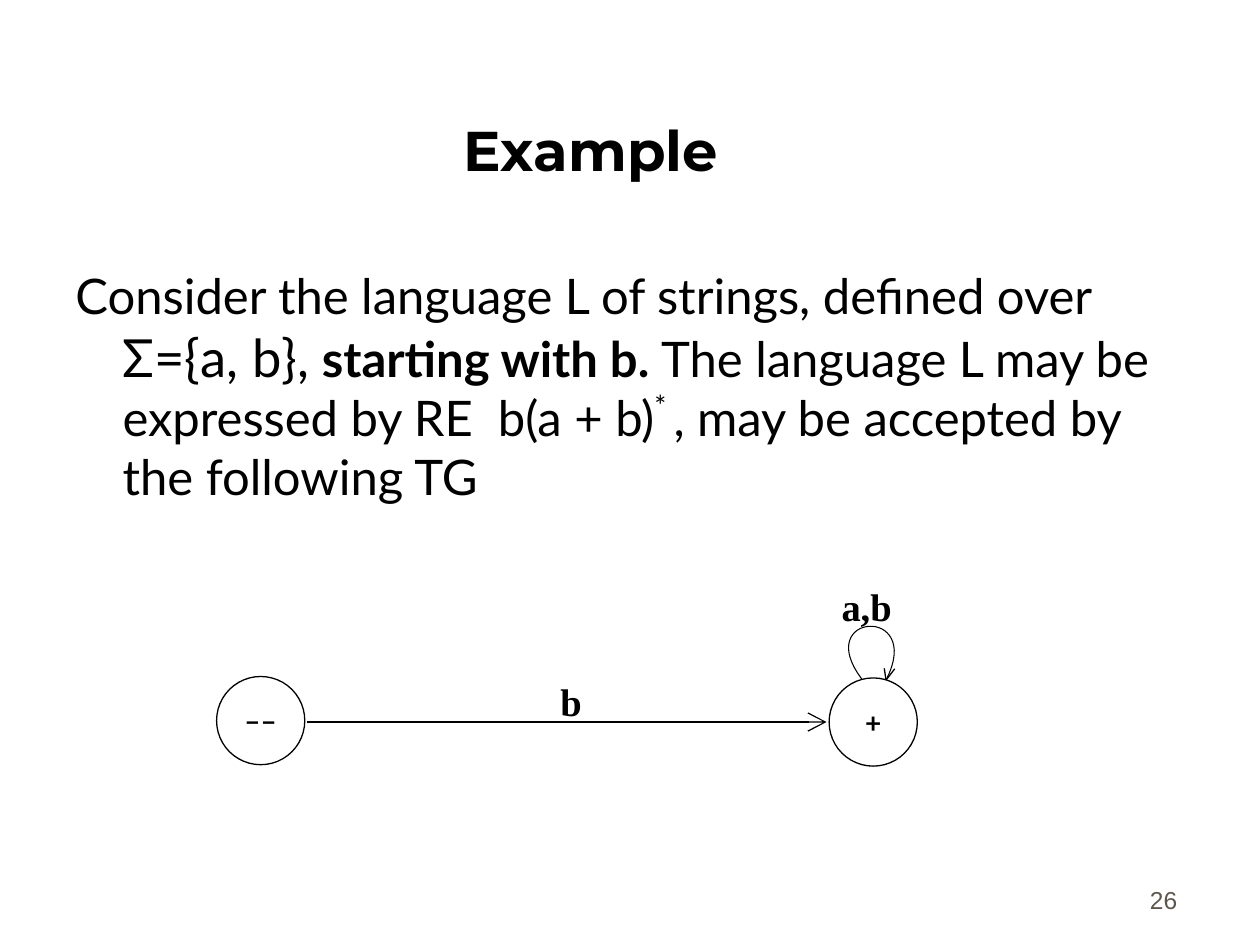
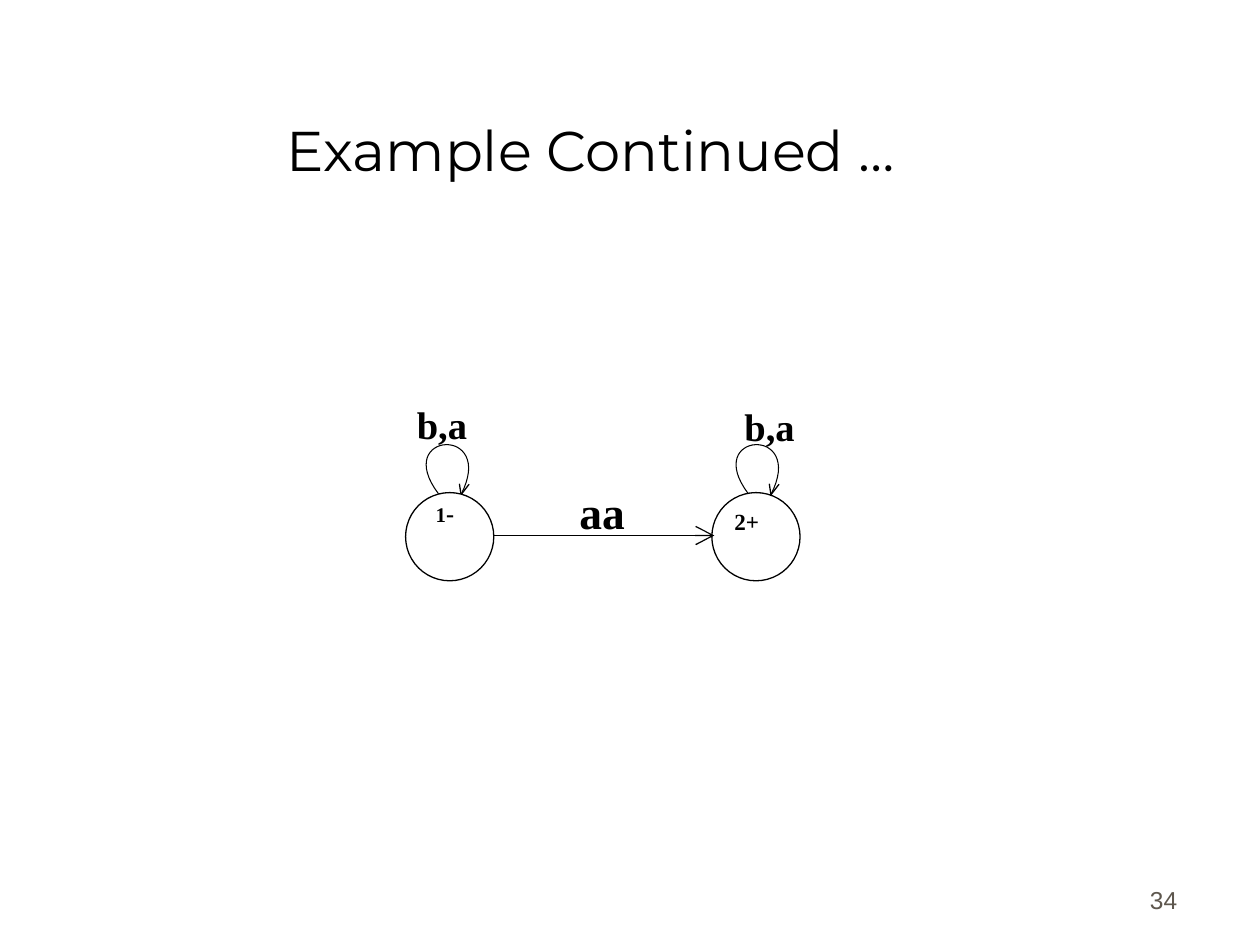
from lxml.etree import SubElement
from pptx import Presentation
from pptx.dml.color import RGBColor
from pptx.enum.shapes import MSO_CONNECTOR as Connector, MSO_SHAPE as Preset
from pptx.enum.text import MSO_ANCHOR as Anchor, MSO_AUTO_SIZE as AutoSize, PP_ALIGN as Align
from pptx.oxml.ns import qn
from pptx.util import Pt

COLORS = {"ink": "000000", "paper": "FFFFFF", "number": "5E574E"}
TITLE_FONT, BODY_FONT, LABEL_FONT, NUMBER_FONT = "Montserrat", "Lato", "Times New Roman", "Arial"
STATE_SIZE = 50.4
CURVE_STEPS = 32

slides = [
    {
        "title": "Example", "bold": True, "number": "26",
        "body": [
            ("Consider the language L of strings, defined over ", 28, False, 0),
            ("Σ={a, b},", 30, False, 0),
            (" ", 28, False, 0),
            ("starting with b. ", 28, True, 0),
            ("The language L may be expressed by RE  b(a + b)", 28, False, 0),
            ("* ", 28, False, 40000),
            (", may be accepted by the following TG", 28, False, 0),
        ],
        "loops": [(492.5, 388.1, 1)],
        "states": [(123.8, 386.6, "––"), (473.8, 387.4, "+")],
        "arrow": (175.7, 472.3, 412.6),
        "labels": [
            ((313.2, 383.8, 98.6, 36.7), [("b", 22)], 1),
            ((473.8, 329.8, 98.6, 36.7), [("a,b", 22)], 1),
        ],
    },
    {
        "title": "Example Continued …", "bold": False, "number": "34",
        "body": [],
        "loops": [(250.6, 282.2, 0.93), (427.7, 282.2, 0.93)],
        "states": [(231.8, 281.5, ""), (406.8, 281.5, "")],
        "arrow": (282.2, 408.2, 306),
        "labels": [
            ((231.1, 225.4, 70.6, 48.2), [("b,a", 22)], 1),
            ((418.3, 226.8, 70.6, 48.2), [("b,a", 22)], 1),
            ((324, 272.9, 70.6, 48.2), [("aa", 26)], 1),
            ((241.9, 284.4, 62.6, 25.9), [("1", 11.9), ("-", 13.8)], 0.8),
            ((412.6, 289.4, 55.4, 24.5), [("2+", 13.2)], 0.8),
        ],
    },
]


def add_run(paragraph, text, font, size, bold=False, color="ink"):
    run = paragraph.add_run()
    run.text = text
    run.font.name = font
    run.font.size = Pt(size)
    run.font.bold = bold
    run.font.color.rgb = RGBColor.from_string(COLORS[color])
    return run


def add_box(slide, box):
    frame = slide.shapes.add_textbox(*map(Pt, box)).text_frame
    frame.word_wrap = True
    return frame


presentation = Presentation()
presentation.slide_width, presentation.slide_height = Pt(720), Pt(540)

for content in slides:
    slide = presentation.slides.add_slide(presentation.slide_layouts[5])

    title = slide.shapes.title
    title.left, title.top, title.width, title.height = map(Pt, (31.7, 18, 612, 90))
    frame = title.text_frame
    frame.auto_size = AutoSize.NONE
    frame.vertical_anchor = Anchor.BOTTOM
    paragraph = frame.paragraphs[0]
    paragraph.alignment = Align.CENTER
    add_run(paragraph, content["title"], TITLE_FONT, 32, content["bold"])

    frame = add_box(slide, (530, 490.3, 149.8, 36))
    frame.vertical_anchor = Anchor.BOTTOM
    paragraph = frame.paragraphs[0]
    paragraph.alignment = Align.RIGHT
    add_run(paragraph, content["number"], NUMBER_FONT, 14, color="number")

    if content["body"]:
        paragraph = add_box(slide, (36, 148.3, 643.7, 151.2)).paragraphs[0]
        properties = paragraph._p.get_or_add_pPr()
        properties.set("marL", str(Pt(27)))
        properties.set("indent", str(Pt(-27)))
        for text, size, bold, baseline in content["body"]:
            run = add_run(paragraph, text, BODY_FONT, size, bold)
            if baseline:
                run._r.get_or_add_rPr().set("baseline", str(baseline))

    for left, bottom, scale in content["loops"]:
        controls = [(0, 0), (-29, -38.2), (36, -42.5), (13.8, 0.6)]
        curve = []
        for step in range(CURVE_STEPS + 1):
            t = step / CURVE_STEPS
            weights = ((1 - t) ** 3, 3 * t * (1 - t) ** 2, 3 * t * t * (1 - t), t ** 3)
            curve.append([sum(w * c[axis] for w, c in zip(weights, controls)) for axis in (0, 1)])
        tip = controls[-1]
        barbs = [[tip, (tip[0] + 5, tip[1] - 6.5)], [tip, (tip[0] - 1, tip[1] - 6.8)]]
        for outline, width in zip([curve, *barbs], (0.6, 0.75, 0.75)):
            points = [(Pt(left + x * scale), Pt(bottom + y * scale)) for x, y in outline]
            builder = slide.shapes.build_freeform(*points[0], scale=1.0)
            builder.add_line_segments(points[1:], close=False)
            shape = builder.convert_to_shape()
            shape.shadow.inherit = False
            shape.fill.background()
            shape.line.color.rgb = RGBColor.from_string(COLORS["ink"])
            shape.line.width = Pt(width)

    for left, top, sign in content["states"]:
        state = slide.shapes.add_shape(Preset.OVAL, *map(Pt, (left, top, STATE_SIZE, STATE_SIZE)))
        state.shadow.inherit = False
        state.fill.solid()
        state.fill.fore_color.rgb = RGBColor.from_string(COLORS["paper"])
        state.line.color.rgb = RGBColor.from_string(COLORS["ink"])
        state.line.width = Pt(0.75)
        if sign:
            frame = state.text_frame
            frame.margin_left = frame.margin_right = frame.margin_top = frame.margin_bottom = 0
            frame.vertical_anchor = Anchor.MIDDLE
            frame.paragraphs[0].alignment = Align.CENTER
            add_run(frame.paragraphs[0], sign, BODY_FONT, 16, True)

    start, end, level = content["arrow"]
    arrow = slide.shapes.add_connector(Connector.STRAIGHT, *map(Pt, (start, level, end, level)))
    arrow.line.color.rgb = RGBColor.from_string(COLORS["ink"])
    arrow.line.width = Pt(0.75)
    SubElement(arrow.line._get_or_add_ln(), qn("a:tailEnd"), type="arrow", w="lg", len="lg")
    SubElement(arrow._element.spPr, qn("a:effectLst"))

    for box, runs, spacing in content["labels"]:
        paragraph = add_box(slide, box).paragraphs[0]
        paragraph.line_spacing = float(spacing)
        for text, size in runs:
            add_run(paragraph, text, LABEL_FONT, size, True)

presentation.save("out.pptx")
